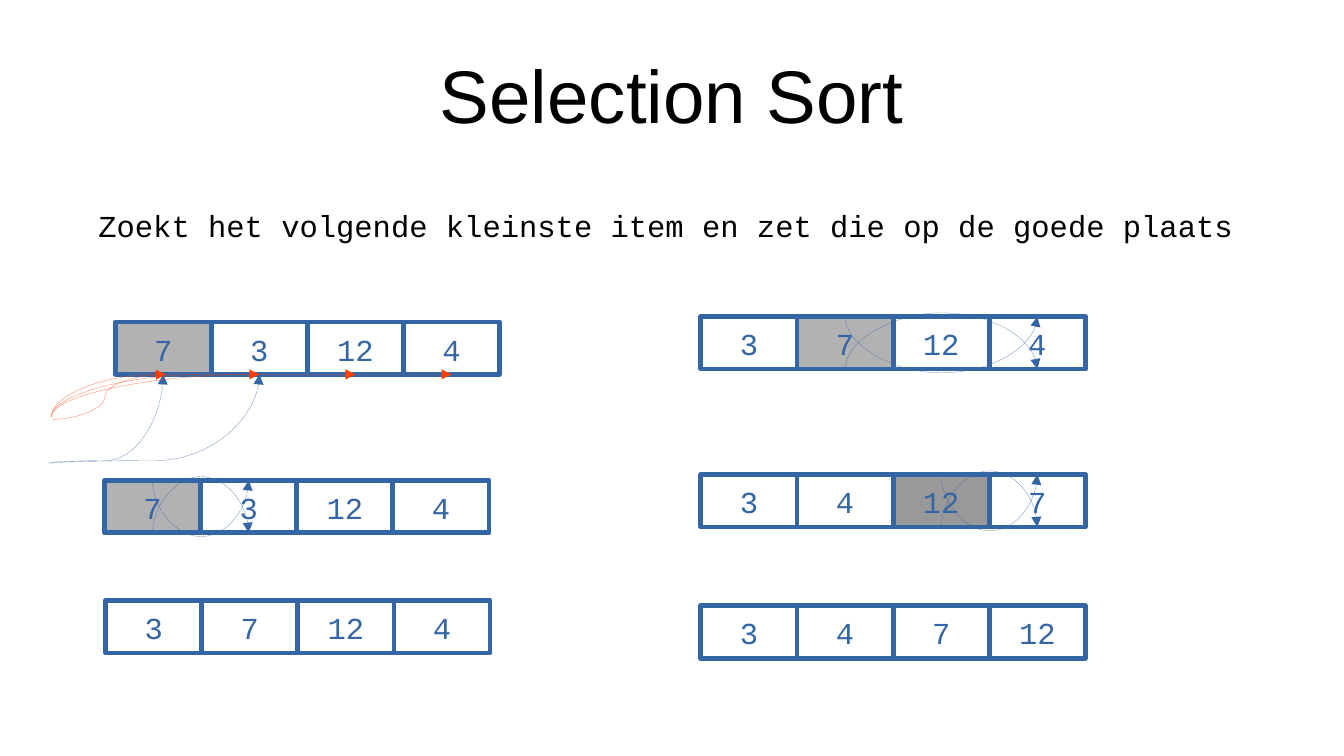
from dataclasses import dataclass
from typing import Optional

from lxml.etree import SubElement
from pptx import Presentation
from pptx.dml.color import RGBColor
from pptx.enum.shapes import MSO_CONNECTOR, MSO_SHAPE
from pptx.enum.text import MSO_ANCHOR, PP_ALIGN
from pptx.oxml.ns import qn
from pptx.slide import Slide
from pptx.text.text import TextFrame
from pptx.util import Pt

COLORS = {"black": "000000", "blue": "3465A4", "red": "FF4000",
          "gray": "B2B2B2", "dark_gray": "999999"}
CELL_WIDTH, CELL_HEIGHT = 56.75, 30.9
SWAP_OFFSET, SWAP_BEND = 0.03, 585


@dataclass
class ArrayState:
    left: float
    top: float
    values: tuple[int, ...]
    marked: Optional[int] = None
    marked_color: str = "gray"
    swap: Optional[tuple[int, int]] = None

    def center(self, index: int) -> float:
        """Return the horizontal middle of a cell."""
        return self.left + (index + 0.5) * CELL_WIDTH

    @property
    def bottom(self) -> float:
        """Return the lower edge of the cells."""
        return self.top + CELL_HEIGHT


@dataclass
class Curve:
    begin: tuple[float, float]
    end: tuple[float, float]
    bend: float
    color: str = "blue"
    rotation: int = 90


def rgb(name: str) -> RGBColor:
    """Look up a named colour."""
    return RGBColor.from_string(COLORS[name])


def write(frame: TextFrame, text: str, size: float, font: str, color: str,
          align: PP_ALIGN, margins: tuple[float, float]) -> None:
    """Set one formatted run in a text frame with horizontal and vertical margins."""
    frame.margin_left = frame.margin_right = Pt(margins[0])
    frame.margin_top = frame.margin_bottom = Pt(margins[1])
    paragraph = frame.paragraphs[0]
    paragraph.alignment = align
    run = paragraph.add_run()
    run.text = text
    run.font.size = Pt(size)
    run.font.name = font
    run.font.color.rgb = rgb(color)


def draw_curve(slide: Slide, curve: Curve) -> None:
    """Draw a curved arrow, turned by its rotation about its middle."""
    (x1, y1), (x2, y2) = curve.begin, curve.end
    middle_x, middle_y = (x1 + x2) / 2, (y1 + y2) / 2
    dx, dy = x1 - middle_x, y1 - middle_y
    dx, dy = {0: (dx, dy), 90: (dy, -dx), 270: (-dy, dx)}[curve.rotation]
    arrow = slide.shapes.add_connector(
        MSO_CONNECTOR.CURVE, Pt(middle_x + dx), Pt(middle_y + dy),
        Pt(middle_x - dx), Pt(middle_y - dy))
    arrow.line.color.rgb = rgb(curve.color)
    properties = arrow.element.spPr
    properties.find(qn("a:xfrm")).set("rot", str(curve.rotation * 60000))
    geometry = properties.find(qn("a:prstGeom"))
    guides = geometry.find(qn("a:avLst"))
    if guides is None:
        guides = SubElement(geometry, qn("a:avLst"))
    SubElement(guides, qn("a:gd"), name="adj1", fmla=f"val {round(curve.bend * 100000)}")
    line = properties.find(qn("a:ln"))
    line.set("w", "0")
    SubElement(line, qn("a:tailEnd"), type="triangle")
    SubElement(properties, qn("a:effectLst"))


def draw_state(slide: Slide, state: ArrayState) -> None:
    """Draw the cells of an array and the arrows of its swap."""
    for index, value in enumerate(state.values):
        cell = slide.shapes.add_shape(
            MSO_SHAPE.RECTANGLE, Pt(state.left + index * CELL_WIDTH), Pt(state.top),
            Pt(CELL_WIDTH), Pt(CELL_HEIGHT))
        cell.shadow.inherit = False
        if index == state.marked:
            cell.fill.solid()
            cell.fill.fore_color.rgb = rgb(state.marked_color)
        else:
            cell.fill.background()
        cell.line.color.rgb = rgb("blue")
        cell.line.width = Pt(2.83)
        cell.text_frame.vertical_anchor = MSO_ANCHOR.TOP
        write(cell.text_frame, str(value), 18, "Courier New", "blue",
              PP_ALIGN.CENTER, (8.5, 5))
    if state.swap:
        first, second = map(state.center, state.swap)
        for edge, bend in ((state.top, -SWAP_BEND), (state.bottom, SWAP_BEND)):
            draw_curve(slide, Curve((first, edge), (second, edge - SWAP_OFFSET),
                                    bend, rotation=270))


def main() -> None:
    """Build the selection sort slide."""
    presentation = Presentation()
    presentation.slide_width, presentation.slide_height = Pt(793.44), Pt(446.4)
    slide = presentation.slides.add_slide(presentation.slide_layouts[5])

    heading = slide.shapes.title
    heading.left, heading.top = Pt(39.6), Pt(18)
    heading.width, heading.height = Pt(714.24), Pt(74.9)
    heading.text_frame.vertical_anchor = MSO_ANCHOR.MIDDLE
    write(heading.text_frame, "Selection Sort", 44, "Arial", "black",
          PP_ALIGN.CENTER, (0, 0))

    explanation = slide.shapes.add_textbox(Pt(51), Pt(118.8), Pt(686.2), Pt(28.1))
    explanation.text_frame.word_wrap = False
    write(explanation.text_frame,
          "Zoekt het volgende kleinste item en zet die op de goede plaats",
          18, "Courier New", "black", PP_ALIGN.LEFT, (7.2, 3.6))

    search = ArrayState(68, 190.2, (7, 3, 12, 4), marked=0)
    states = (
        search,
        ArrayState(61.7, 283.7, (7, 3, 12, 4), marked=0, swap=(0, 1)),
        ArrayState(62.4, 354.7, (3, 7, 12, 4)),
        ArrayState(413.8, 187, (3, 7, 12, 4), marked=1, swap=(1, 3)),
        ArrayState(413.8, 280.3, (3, 4, 12, 7), marked=2, marked_color="dark_gray",
                   swap=(2, 3)),
        ArrayState(413.8, 357.8, (3, 4, 7, 12)),
    )
    for state in states:
        draw_state(slide, state)

    for index, start in enumerate((28.8, 30.2)):
        draw_curve(slide, Curve((start, 273.6), (search.center(index), search.bottom), 0.03))
    draw_curve(slide, Curve((30.2, 247.7), (97.9, search.bottom), 0.47, "red", 0))
    for index in range(1, len(search.values)):
        draw_curve(slide, Curve((30.2, 246.2), (search.center(index), search.bottom), 1, "red"))

    presentation.save("out.pptx")


if __name__ == "__main__":
    main()
